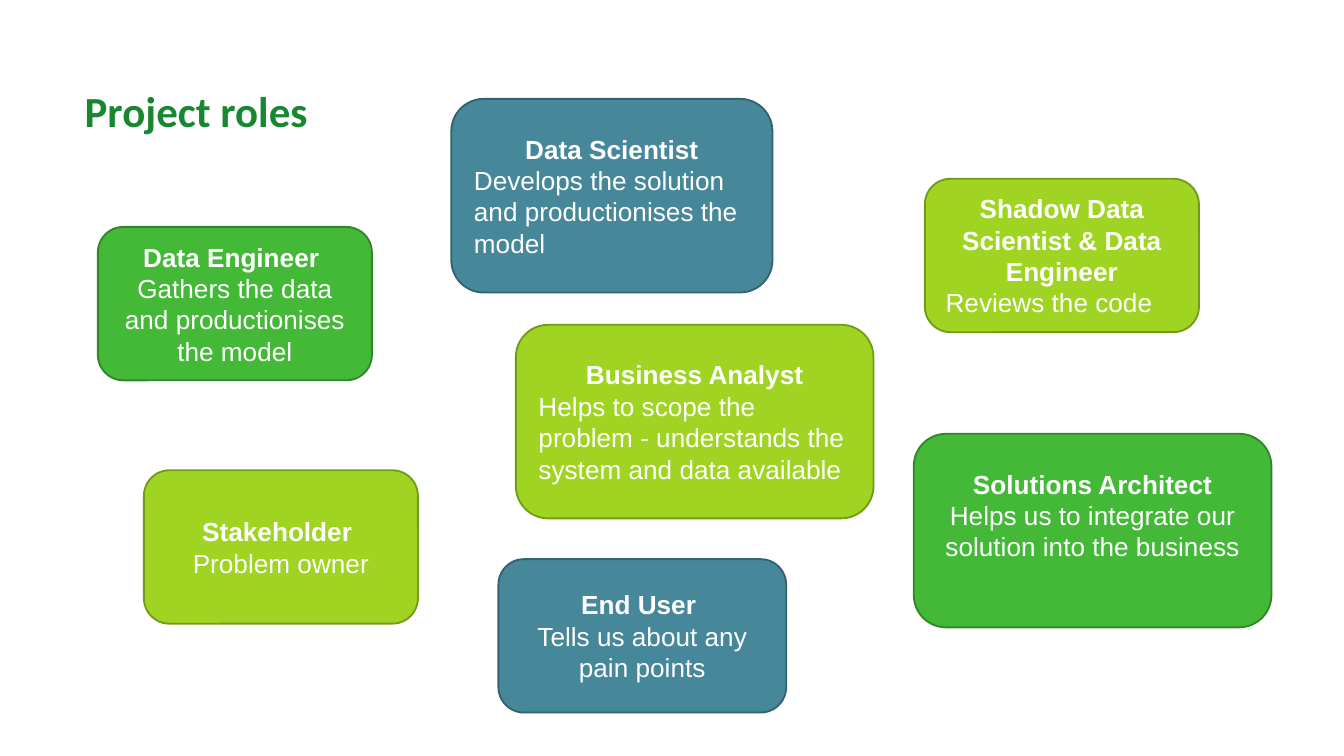
from pptx import Presentation
from pptx.dml.color import RGBColor
from pptx.enum.shapes import MSO_SHAPE
from pptx.enum.text import MSO_ANCHOR, MSO_AUTO_SIZE, PP_ALIGN
from pptx.util import Cm, Pt

TITLE_GREEN = RGBColor(0x17, 0x88, 0x30)
WHITE = RGBColor(0xFF, 0xFF, 0xFF)
# (fill, outline)
GREEN = RGBColor(0x44, 0xB9, 0x38), RGBColor(0x31, 0x87, 0x28)
LIME = RGBColor(0x9F, 0xD5, 0x22), RGBColor(0x74, 0x9B, 0x18)
TEAL = RGBColor(0x46, 0x88, 0x9A), RGBColor(0x33, 0x63, 0x70)

CENTER, LEFT = PP_ALIGN.CENTER, PP_ALIGN.LEFT
SHORT, TALL = 2.9, 3.66  # card heights in cm
PAD_X, PAD_Y = 0.25, 0.13
LINE = 0.59  # one line of card text, in cm

TITLE = "Project roles"
# role, duty, duty alignment, colours, left, top, width, height, extra space below
ROLES = [
    ("Data Engineer ", "Gathers the data and productionises the model",
     CENTER, GREEN, 1.85, 4.29, 5.18, SHORT, 0),
    ("Stakeholder ", "Problem owner",
     CENTER, LIME, 2.72, 8.89, 5.18, SHORT, 0),
    ("Data Scientist", "Develops the solution and productionises the model",
     LEFT, TEAL, 8.53, 1.87, 6.07, TALL, 0),
    ("Shadow Data Scientist & Data Engineer", "Reviews the code",
     LEFT, LIME, 17.48, 3.38, 5.18, SHORT, 0),
    ("End User ", "Tells us about any pain points",
     CENTER, TEAL, 9.42, 10.57, 5.44, SHORT, 0),
    ("Solutions Architect", "Helps us to integrate our solution into the business",
     CENTER, GREEN, 17.27, 8.2, 6.76, TALL, LINE),
    ("Business Analyst",
     "Helps to scope the problem - understands the system and data available",
     LEFT, LIME, 9.75, 6.14, 6.76, TALL, 0),
]


def set_insets(tf, x, top, bottom):
    tf.margin_left = tf.margin_right = Cm(x)
    tf.margin_top, tf.margin_bottom = Cm(top), Cm(bottom)


def add_run(p, text, font, size, color, bold):
    r = p.add_run()
    r.text = text
    r.font.name, r.font.size, r.font.bold = font, Pt(size), bold
    r.font.color.rgb = color


def add_title(s):
    sp = s.shapes.title
    sp.left, sp.top, sp.width, sp.height = Cm(1.42), Cm(1.6), Cm(22.78), Cm(1.12)
    tf = sp.text_frame
    tf.auto_size = MSO_AUTO_SIZE.NONE
    tf.vertical_anchor = MSO_ANCHOR.TOP
    set_insets(tf, 0.18, 0.1, 0.1)
    p = tf.paragraphs[0]
    p.alignment, p.line_spacing = LEFT, 0.9
    add_run(p, TITLE, "Calibri", 23, TITLE_GREEN, True)


def add_card(s, role, duty, align, colors, left, top, width, height, below):
    sp = s.shapes.add_shape(MSO_SHAPE.ROUNDED_RECTANGLE,
                            Cm(left), Cm(top), Cm(width), Cm(height))
    sp.shadow.inherit = False
    fill, outline = colors
    sp.fill.solid()
    sp.fill.fore_color.rgb = fill
    sp.line.color.rgb = outline
    sp.line.width = Pt(1)
    tf = sp.text_frame
    tf.word_wrap = True
    tf.vertical_anchor = MSO_ANCHOR.MIDDLE
    set_insets(tf, PAD_X, PAD_Y, PAD_Y + below)
    p = tf.paragraphs[0]
    p.alignment = CENTER
    add_run(p, role, "Arial", 14, WHITE, True)
    p = tf.add_paragraph()
    p.alignment = align
    add_run(p, duty, "Arial", 14, WHITE, False)


def main():
    prs = Presentation()
    prs.slide_width, prs.slide_height = Cm(25.4), Cm(14.29)
    s = prs.slides.add_slide(prs.slide_layouts[5])
    add_title(s)
    for role in ROLES:
        add_card(s, *role)
    prs.save("out.pptx")


if __name__ == "__main__":
    main()
